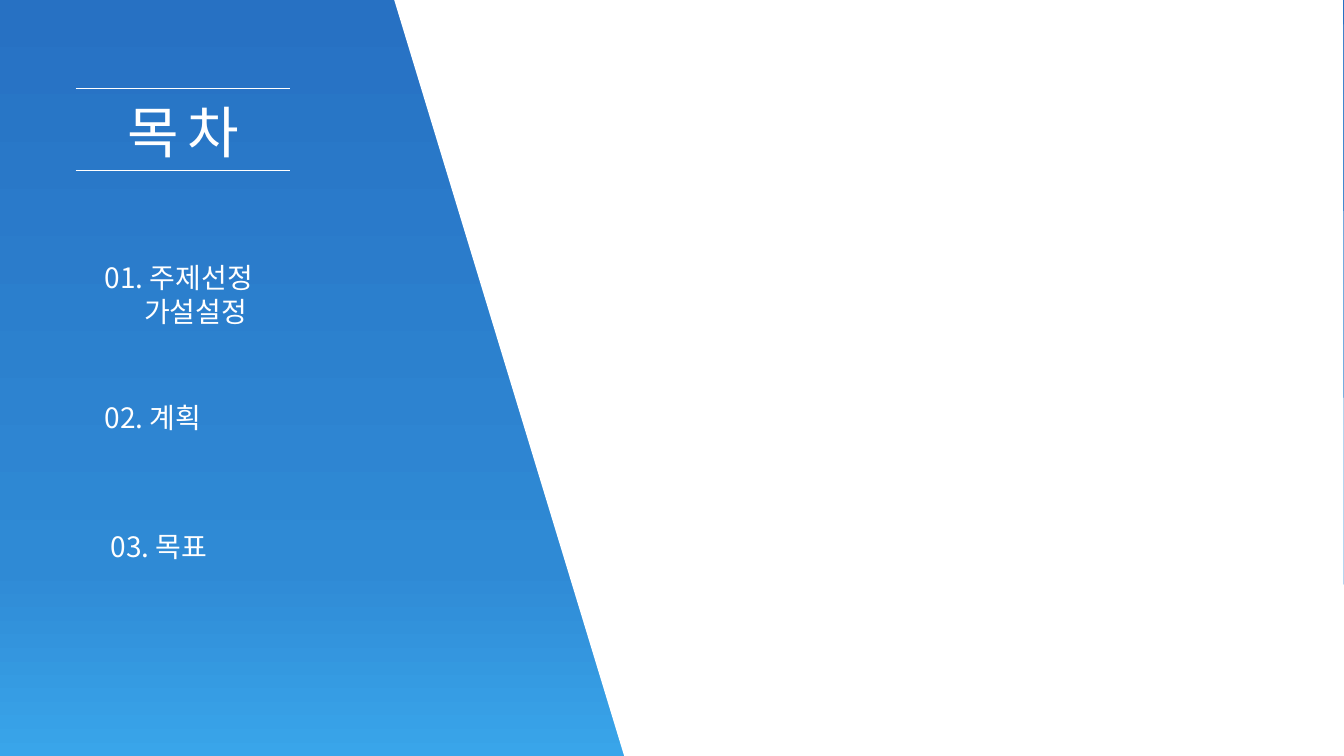
"""Build the Korean contents slide with a slanted white panel on a blue gradient."""
from copy import deepcopy
from dataclasses import dataclass

from lxml import etree
from pptx import Presentation
from pptx import util as u
from pptx.dml.color import RGBColor
from pptx.enum import shapes, text
from pptx.oxml import ns
from pptx.slide import Slide
from pptx.text.text import _Paragraph as Paragraph

FONT = "Noto Sans CJK KR"
WHITE = "FFFFFF"
GRADIENT = [(0, "2771C3"), (0.75, "2F8AD5"), (1, "39A5EA")]
PANEL_CORNERS = [(3.91, 0), (13.32, 0), (13.33, 7.65), (6.2, 7.53)]
RULE_LEFT, RULE_RIGHT = 0.75, 2.88
RULE_HEIGHTS = [0.88, 1.69]


@dataclass
class Label:
    left: float
    top: float
    width: float
    height: float
    lines: list[str]
    size: int = 20
    spacing: int = 0
    wrap: bool = False
    align: text.PP_ALIGN = text.PP_ALIGN.LEFT
    later_indent: float = 0


HEADING = Label(1.14, 0.92, 1.35, 0.77, ["목차"], size=40, spacing=6, align=text.PP_ALIGN.CENTER)
TOPICS = [
    Label(0.94, 2.54, 2.36, 0.77, ["01. 주제선정", "가설설정"], wrap=True, later_indent=0.39),
    Label(0.94, 3.92, 1.23, 0.44, ["02. 계획"]),
    Label(1, 5.2, 1.23, 0.44, ["03. 목표"]),
]


def rgb(value: str) -> RGBColor:
    return RGBColor.from_string(value)


def paint_background(slide: Slide) -> None:
    fill = slide.background.fill
    fill.gradient()
    fill.gradient_angle = 270
    stop_list = slide.element.find(".//" + ns.qn("a:gsLst"))
    stop_list.insert(1, deepcopy(stop_list[0]))
    for stop, (position, colour) in zip(fill.gradient_stops, GRADIENT):
        stop.position = position
        stop.color.rgb = rgb(colour)


def draw_panel(slide: Slide) -> None:
    start, *corners = [(u.Inches(x), u.Inches(y)) for x, y in PANEL_CORNERS]
    builder = slide.shapes.build_freeform(*start)
    builder.add_line_segments(corners, close=True)
    panel = builder.convert_to_shape()
    panel.shadow.inherit = False
    panel.fill.solid()
    panel.fill.fore_color.rgb = rgb(WHITE)
    panel.line.fill.background()


def draw_rule(slide: Slide, y: float) -> None:
    ends = [u.Inches(length) for length in (RULE_LEFT, y, RULE_RIGHT, y)]
    rule = slide.shapes.add_connector(shapes.MSO_CONNECTOR.STRAIGHT, *ends)
    rule.line.color.rgb = rgb(WHITE)
    rule.line.width = u.Pt(0.75)
    etree.SubElement(rule._element.spPr, ns.qn("a:effectLst"))


def style_paragraph(paragraph: Paragraph, label: Label) -> None:
    paragraph.alignment = label.align
    paragraph.font.name = FONT
    paragraph.font.size = u.Pt(label.size)
    paragraph.font.color.rgb = rgb(WHITE)
    for run in paragraph.runs:
        properties = run._r.get_or_add_rPr()
        properties.set("spc", str(label.spacing * 100))
        etree.SubElement(properties, ns.qn("a:ea"), typeface=FONT)


def write_label(slide: Slide, label: Label) -> None:
    bounds = [u.Inches(length) for length in (label.left, label.top, label.width, label.height)]
    frame = slide.shapes.add_textbox(*bounds).text_frame
    frame.word_wrap = label.wrap
    frame.auto_size = text.MSO_AUTO_SIZE.SHAPE_TO_FIT_TEXT
    frame.text = "\n".join(label.lines)
    for paragraph in frame.paragraphs:
        style_paragraph(paragraph, label)
    for later_line in frame.paragraphs[1:]:
        later_line._p.get_or_add_pPr().set("marL", str(u.Inches(label.later_indent)))


def main() -> None:
    deck = Presentation()
    deck.slide_width, deck.slide_height = u.Inches(13.33), u.Inches(7.5)
    slide = deck.slides.add_slide(deck.slide_layouts[6])
    paint_background(slide)
    draw_panel(slide)
    for y in RULE_HEIGHTS:
        draw_rule(slide, y)
    for label in [HEADING, *TOPICS]:
        write_label(slide, label)
    deck.save("out.pptx")


if __name__ == "__main__":
    main()
